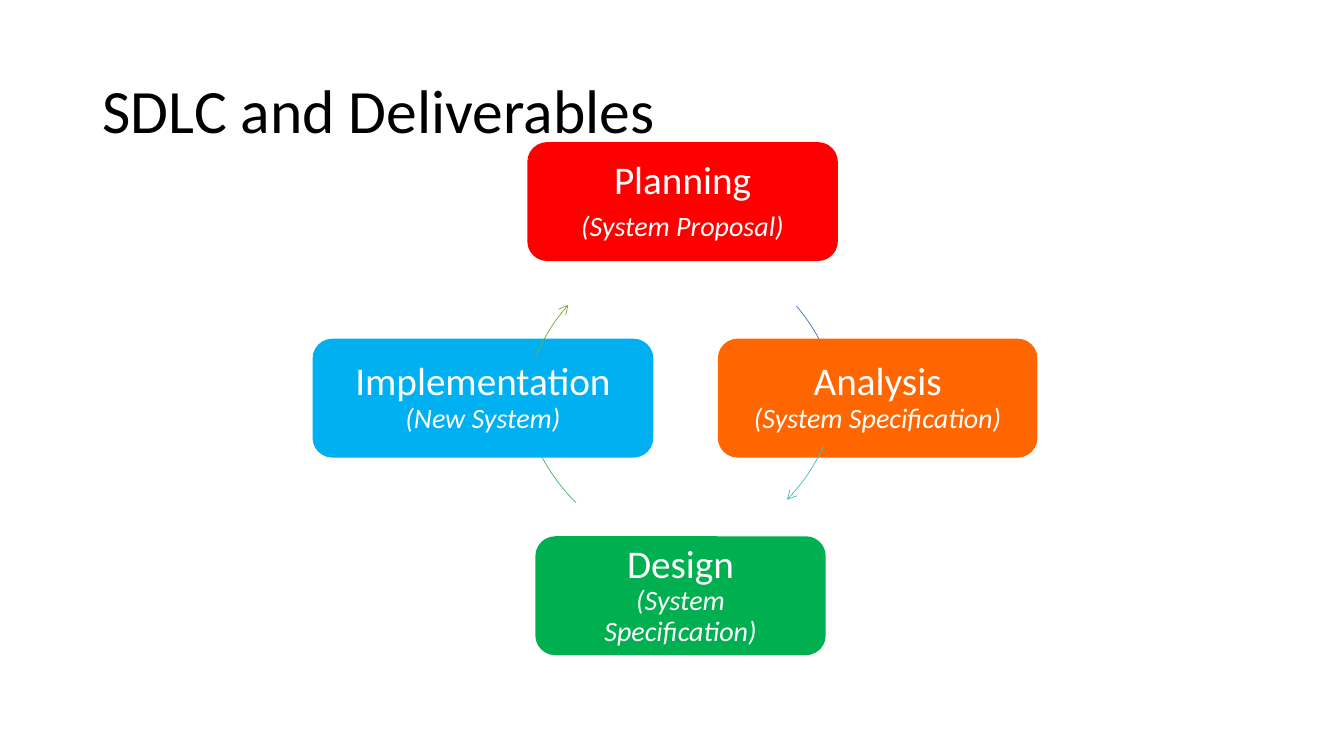
"""Build the SDLC cycle slide with its four phases and their deliverables."""
import dataclasses

import pptx
import pptx.dml.color
import pptx.enum.shapes
import pptx.enum.text
import pptx.oxml
import pptx.oxml.ns
import pptx.shapes.autoshape
import pptx.slide
import pptx.text.text
import pptx.util

Inches = pptx.util.Inches
Pt = pptx.util.Pt
MSO_SHAPE = pptx.enum.shapes.MSO_SHAPE


@dataclasses.dataclass(frozen=True)
class Theme:
    """Shared font, colours and type sizes."""
    font: str = "Calibri"
    title_color: str = "000000"
    card_color: str = "FFFFFF"
    title_size: float = 44
    phase_size: float = 28
    deliverable_size: float = 20
    arc_weight: float = 0.5
    line_spacing: float = 0.9


@dataclasses.dataclass(frozen=True)
class Arc:
    """Arrow along a circle, with angles in degrees clockwise from the right."""
    left: float
    top: float
    start: float
    end: float
    color: str


@dataclasses.dataclass(frozen=True)
class Phase:
    """Phase card and the arrow that leaves it."""
    name: str
    deliverable: str
    left: float
    top: float
    width: float
    fill: str
    arc: Arc
    separate_paragraphs: bool = False


THEME = Theme()
CARD_HEIGHT = 1.18
CARD_INSET = 0.17
CYCLE_DIAMETER = 3.91
ANGLE_UNIT = 0.6

PHASES = [
    Phase("Planning", "(System Proposal)", 5.23, 1.41, 3.08, "FF0000",
          Arc(4.45, 2.34, 319.9, 337.5, "4472C4"), separate_paragraphs=True),
    Phase("Analysis", "(System Specification)", 7.12, 3.36, 3.17, "FF6600",
          Arc(4.44, 1.65, 24.5, 43.8, "43BEB9")),
    Phase("Design", "(System Specification)", 5.31, 5.32, 2.88, "00B050",
          Arc(5.14, 1.65, 135, 154.8, "45B664")),
    Phase("Implementation", "(New System)", 3.1, 3.36, 3.38, "00B0F0",
          Arc(5.15, 2.36, 203.1, 221.3, "70AD47")),
]


def rgb(color: str) -> pptx.dml.color.RGBColor:
    """Turn a hex string into a colour."""
    return pptx.dml.color.RGBColor.from_string(color)


def add_text(paragraph: pptx.text.text._Paragraph, text: str, *, size: float,
             color: str, italic: bool = False) -> None:
    """Append a formatted run to a paragraph."""
    run = paragraph.add_run()
    run.text = text
    run.font.name = THEME.font
    run.font.size = Pt(size)
    run.font.italic = italic
    run.font.color.rgb = rgb(color)


def prepare_frame(frame: pptx.text.text.TextFrame) -> pptx.text.text._Paragraph:
    """Wrap and centre a text frame vertically and return its first paragraph."""
    frame.word_wrap = True
    frame.vertical_anchor = pptx.enum.text.MSO_ANCHOR.MIDDLE
    paragraph = frame.paragraphs[0]
    paragraph.line_spacing = THEME.line_spacing
    return paragraph


def draw_title(slide: pptx.slide.Slide, text: str) -> None:
    """Draw the slide heading."""
    heading = slide.shapes.add_textbox(Inches(0.92), Inches(0.4), Inches(11.5), Inches(1.45))
    paragraph = prepare_frame(heading.text_frame)
    add_text(paragraph, text, size=THEME.title_size, color=THEME.title_color)


def draw_card(slide: pptx.slide.Slide, phase: Phase) -> None:
    """Draw a phase card with its name and deliverable."""
    card = slide.shapes.add_shape(
        MSO_SHAPE.ROUNDED_RECTANGLE, Inches(phase.left), Inches(phase.top),
        Inches(phase.width), Inches(CARD_HEIGHT))
    card.shadow.inherit = False
    card.fill.solid()
    card.fill.fore_color.rgb = rgb(phase.fill)
    card.line.fill.background()
    frame = card.text_frame
    frame.margin_left = frame.margin_right = Inches(CARD_INSET)
    frame.margin_top = frame.margin_bottom = Inches(CARD_INSET)
    paragraph = prepare_frame(frame)
    paragraph.alignment = pptx.enum.text.PP_ALIGN.CENTER
    add_text(paragraph, phase.name, size=THEME.phase_size, color=THEME.card_color)
    if phase.separate_paragraphs:
        paragraph.space_after = Pt(7)
        paragraph = frame.add_paragraph()
        paragraph.line_spacing = THEME.line_spacing
        paragraph.alignment = pptx.enum.text.PP_ALIGN.CENTER
    else:
        paragraph.add_line_break()
    add_text(paragraph, phase.deliverable, size=THEME.deliverable_size,
             color=THEME.card_color, italic=True)


def draw_arc(slide: pptx.slide.Slide, arc: Arc) -> None:
    """Draw a curved arrow between two phases."""
    arrow = slide.shapes.add_shape(
        MSO_SHAPE.ARC, Inches(arc.left), Inches(arc.top),
        Inches(CYCLE_DIAMETER), Inches(CYCLE_DIAMETER))
    arrow.adjustments[0] = arc.start * ANGLE_UNIT
    arrow.adjustments[1] = arc.end * ANGLE_UNIT
    arrow.shadow.inherit = False
    arrow.fill.background()
    arrow.line.color.rgb = rgb(arc.color)
    arrow.line.width = Pt(THEME.arc_weight)
    outline = arrow.element.spPr.find(pptx.oxml.ns.qn("a:ln"))
    outline.append(pptx.oxml.parse_xml(
        f'<a:tailEnd {pptx.oxml.ns.nsdecls("a")} type="arrow"/>'))


def main() -> None:
    """Build and save the slide."""
    deck = pptx.Presentation()
    deck.slide_width, deck.slide_height = Inches(13.33), Inches(7.5)
    slide = deck.slides.add_slide(deck.slide_layouts[6])
    for phase in PHASES:
        draw_card(slide, phase)
        draw_arc(slide, phase.arc)
    draw_title(slide, "SDLC and Deliverables")
    deck.save("out.pptx")


if __name__ == "__main__":
    main()
